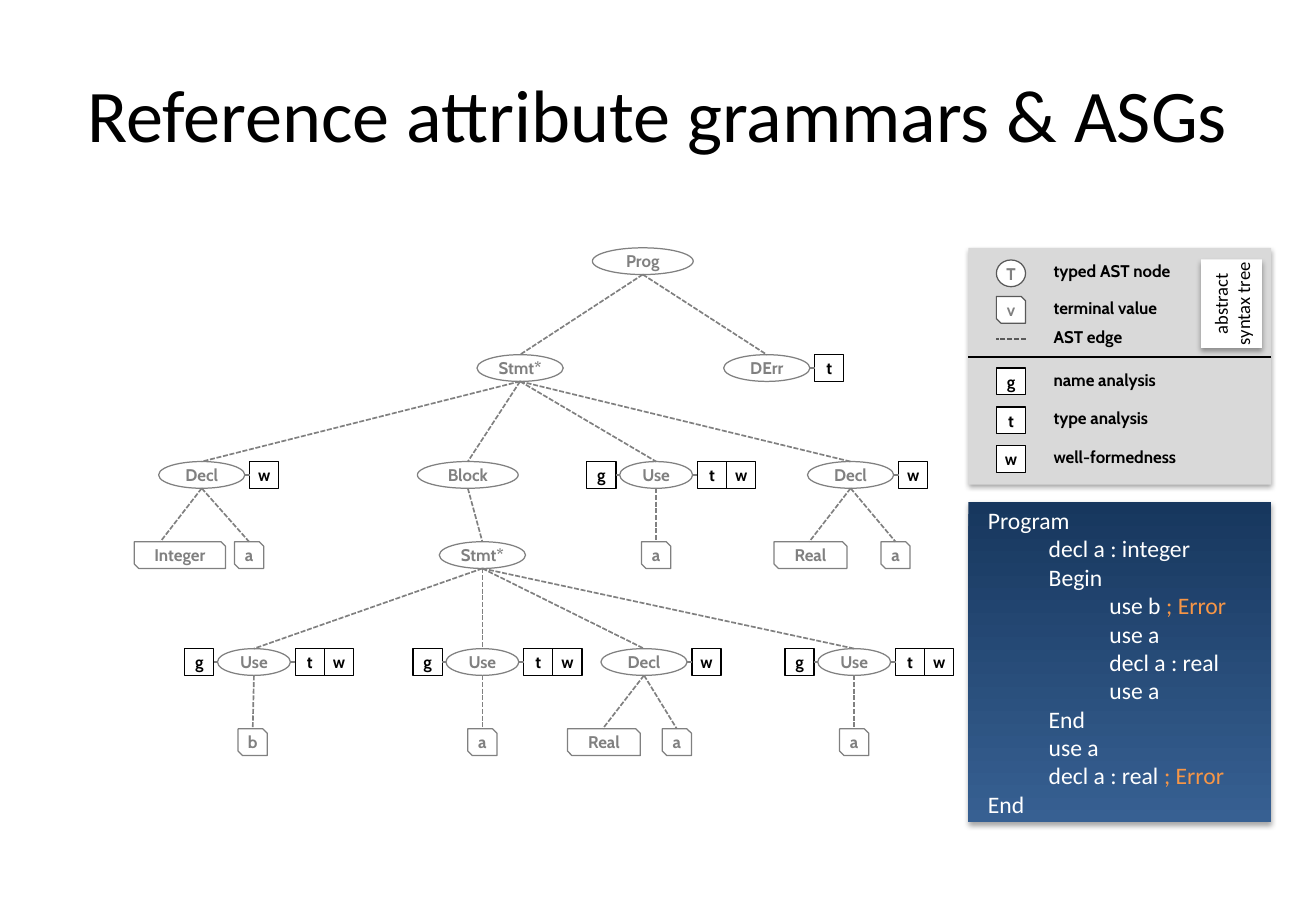
from pptx import Presentation
from pptx.dml.color import RGBColor
from pptx.enum.dml import MSO_LINE
from pptx.enum.shapes import MSO_CONNECTOR, MSO_SHAPE
from pptx.enum.text import MSO_ANCHOR, PP_ALIGN
from pptx.oxml.ns import qn
from pptx.oxml.xmlchemy import OxmlElement
from pptx.util import Inches, Pt

RECT, ELLIPSE, SNIP = MSO_SHAPE.RECTANGLE, MSO_SHAPE.OVAL, MSO_SHAPE.SNIP_2_DIAG_RECTANGLE
STRAIGHT, DASH = MSO_CONNECTOR.STRAIGHT, MSO_LINE.SQUARE_DOT
MIDDLE, LEFT, CENTER = MSO_ANCHOR.MIDDLE, PP_ALIGN.LEFT, PP_ALIGN.CENTER
LEFT_SIDE, RIGHT_SIDE = 1, 3

BLACK = RGBColor(0x00, 0x00, 0x00)
WHITE = RGBColor(0xFF, 0xFF, 0xFF)
GREY = RGBColor(0x80, 0x80, 0x80)
DARK_GREY = RGBColor(0x59, 0x59, 0x59)
PANEL = RGBColor(0xD9, 0xD9, 0xD9)
NAVY = RGBColor(0x17, 0x37, 0x5E)
BLUE = RGBColor(0x37, 0x60, 0x92)
ORANGE = RGBColor(0xF7, 0x96, 0x46)

BOX_W, BOX_H = 0.24, 0.22
WIDTHS = {"Prog": 0.83, "Block": 0.83, "Stmt*": 0.71, "Decl": 0.71, "DErr": 0.71,
          "Use": 0.6, "Integer": 0.75, "Real": 0.6}
TYPES = ("Integer", "Real")
TYPE_EDGE_SHIFT = 0.34
TERMINALS = TYPES + ("a", "b")
# Attribute boxes before and after each kind of node
ATTRIBUTES = {"Use": ("g", "tw"), "Decl": ("", "w"), "DErr": ("", "t")}
LEFT_GAP, RIGHT_GAP = 0.03, 0.04
ROW_TOPS = (2.04, 2.92, 3.8, 4.46, 5.34, 6)

# Node: label, centre x, children
TREE = ("Prog", 5.29, [
    ("Stmt*", 4.28, [
        ("Decl", 1.66, [("Integer", 1.48, []), ("a", 2.05, [])]),
        ("Block", 3.85, [
            ("Stmt*", 3.97, [
                ("Use", 2.09, [("b", 2.08, [])]),
                ("Use", 3.97, [("a", 3.97, [])]),
                ("Decl", 5.3, [("Real", 4.97, []), ("a", 5.57, [])]),
                ("Use", 7.03, [("a", 7.03, [])]),
            ]),
        ]),
        ("Use", 5.4, [("a", 5.4, [])]),
        ("Decl", 7, [("Real", 6.67, []), ("a", 7.37, [])]),
    ]),
    ("DErr", 6.31, []),
])

# Legend row: top, marker shape, marker text, meaning
LEGEND = [
    (2.14, ELLIPSE, "T", "typed AST node"),
    (2.44, SNIP, "v", "terminal value"),
    (2.68, None, "", "AST edge"),
    (3.03, RECT, "g", "name analysis"),
    (3.35, RECT, "t", "type analysis"),
    (3.67, RECT, "w", "well-formedness"),
]

# Code line: text, error mark
PROGRAM = [
    ("Program", ""),
    ("\tdecl a : integer", ""),
    ("\tBegin", ""),
    ("\t\tuse b ", "; Error"),
    ("\t\tuse a", ""),
    ("\t\tdecl a : real", ""),
    ("\t\tuse a", ""),
    ("\tEnd", ""),
    ("\tuse a", ""),
    ("\tdecl a : real ", "; Error"),
    ("End", ""),
]


class SlideBuilder:
    label_font, text_font = "Cabin", "Calibri"

    def __init__(self, slide):
        self.slide = slide

    def style(self, r, color, size=10, font=label_font, bold=True):
        r.font.name, r.font.size, r.font.bold = font, Pt(size), bold
        r.font.color.rgb = color

    def title(self, text):
        sp = self.slide.shapes.title
        sp.left, sp.top, sp.width, sp.height = map(Inches, (0.54, 0.3, 9.75, 1.25))
        tf = sp.text_frame
        tf.text = text
        tf.vertical_anchor = MIDDLE
        p = tf.paragraphs[0]
        p.alignment = CENTER
        self.style(p.runs[0], BLACK, 44, self.text_font, False)

    def shape(self, kind, x, y, w, h, fill=None, line=None):
        sp = self.slide.shapes.add_shape(kind, *map(Inches, (x, y, w, h)))
        sp.shadow.inherit = False
        if fill is None:
            sp.fill.background()
        else:
            sp.fill.solid()
            sp.fill.fore_color.rgb = fill
        if line is None:
            sp.line.fill.background()
        else:
            sp.line.color.rgb = line
            sp.line.width = Pt(0.75)
        return sp

    def margins(self, tf, side=0, end=0):
        tf.margin_left = tf.margin_right = Inches(side)
        tf.margin_top = tf.margin_bottom = Inches(end)

    def box(self, kind, x, y, text, color, w=BOX_W, fill=None, line=None):
        sp = self.shape(kind, x, y, w, BOX_H, fill, line or color)
        self.center_text(sp, text, color)
        return sp

    def center_text(self, sp, text, color, **style):
        tf = sp.text_frame
        self.margins(tf)
        tf.word_wrap = True
        tf.vertical_anchor = MIDDLE
        tf.text = text
        p = tf.paragraphs[0]
        p.alignment = CENTER
        self.style(p.runs[0], color, **style)

    def label(self, x, y, text):
        sp = self.slide.shapes.add_textbox(*map(Inches, (x, y, 1.02, 0.17)))
        tf = sp.text_frame
        self.margins(tf)
        tf.word_wrap = False
        tf.text = text
        self.style(tf.paragraphs[0].runs[0], BLACK)

    def line(self, x1, y1, x2, y2, color=GREY, dashed=False):
        cn = self.slide.shapes.add_connector(STRAIGHT, *map(Inches, (x1, y1, x2, y2)))
        cn.line.color.rgb = color
        cn.line.width = Pt(1 if dashed else 0.7)
        if dashed:
            cn.line.dash_style = DASH
        cn._element.spPr.append(OxmlElement("a:effectLst"))
        return cn

    def drop_shadow(self, sp):
        shadow = OxmlElement("a:outerShdw")
        for name, value in (("blurRad", 40000), ("dist", 23000), ("dir", 5400000), ("rotWithShape", 0)):
            shadow.set(name, str(value))
        color, alpha = OxmlElement("a:srgbClr"), OxmlElement("a:alpha")
        color.set("val", str(BLACK))
        alpha.set("val", "35000")
        color.append(alpha)
        shadow.append(color)
        sp._element.spPr.find(qn("a:effectLst")).append(shadow)

    def node(self, label, x, children, row=0):
        """Draw a node, its attribute boxes and everything below it."""
        y, w = ROW_TOPS[row], WIDTHS.get(label, BOX_W)
        left, right, middle = x - w / 2, x + w / 2, y + BOX_H / 2
        for child in children:
            next_row = row + 1
            end_x = x - TYPE_EDGE_SHIFT if child[0] in TYPES else child[1]
            self.line(x, y + BOX_H, end_x, ROW_TOPS[next_row], dashed=True)
            self.node(*child, row=next_row)
        self.box(SNIP if label in TERMINALS else ELLIPSE, left, y, label, GREY, w)
        before, after = ATTRIBUTES.get(label, ("", ""))
        for i, name in enumerate(before):
            sp = self.box(RECT, left - LEFT_GAP - BOX_W * (i + 1), y, name, BLACK)
            if i == 0:
                self.line(left - LEFT_GAP, middle, left, middle).begin_connect(sp, RIGHT_SIDE)
        for i, name in enumerate(after):
            sp = self.box(RECT, right + RIGHT_GAP + BOX_W * i, y, name, BLACK)
            if i == 0:
                self.line(right, middle, right + RIGHT_GAP, middle).end_connect(sp, LEFT_SIDE)

    def legend(self):
        x, marker_x = 7.97, 8.2
        self.drop_shadow(self.shape(RECT, x, 2.04, 2.49, 1.95, PANEL))
        for y, kind, mark, meaning in LEGEND:
            if kind is None:
                self.line(marker_x + BOX_W, y + 0.11, marker_x, y + 0.11, DARK_GREY, True)
            elif kind == RECT:
                self.box(kind, marker_x, y, mark, BLACK, fill=WHITE)
            else:
                self.box(kind, marker_x, y, mark, GREY, fill=WHITE, line=DARK_GREY)
            self.label(8.67, y + 0.01, meaning)
        self.line(x + 2.49, 2.94, x, 2.94, BLACK)
        sp = self.shape(RECT, 9.77, 2.25, 0.73, 0.5, WHITE)
        sp.rotation = 270
        self.drop_shadow(sp)
        self.center_text(sp, "abstract syntax tree", BLACK, size=11, font=self.text_font, bold=False)

    def program(self):
        sp = self.shape(RECT, 7.97, 4.13, 2.49, 2.64, NAVY)
        sp.fill.gradient()
        sp.fill.gradient_angle = 270
        for stop, color in zip(sp.fill.gradient_stops, (NAVY, BLUE)):
            stop.color.rgb = color
        self.drop_shadow(sp)
        tf = sp.text_frame
        self.margins(tf, 0.16, 0.05)
        tf.word_wrap = True
        tf.vertical_anchor = MIDDLE
        for i, (code, error) in enumerate(PROGRAM):
            p = tf.add_paragraph() if i else tf.paragraphs[0]
            p.alignment = LEFT
            tabs = OxmlElement("a:tabLst")
            for pos in (0.5, 1):
                tab = OxmlElement("a:tab")
                tab.set("pos", str(Inches(pos)))
                tab.set("algn", "l")
                tabs.append(tab)
            p._p.get_or_add_pPr().append(tabs)
            p.text = code
            self.style(p.runs[0], WHITE, 14, self.text_font, False)
            if error:
                r = p.add_run()
                r.text = error
                self.style(r, ORANGE, 14, self.text_font, False)


def main():
    prs = Presentation()
    prs.slide_width, prs.slide_height = Inches(10.83), Inches(7.5)
    builder = SlideBuilder(prs.slides.add_slide(prs.slide_layouts[5]))
    builder.title("Reference attribute grammars & ASGs")
    builder.node(*TREE)
    builder.legend()
    builder.program()
    prs.save("out.pptx")


if __name__ == "__main__":
    main()
